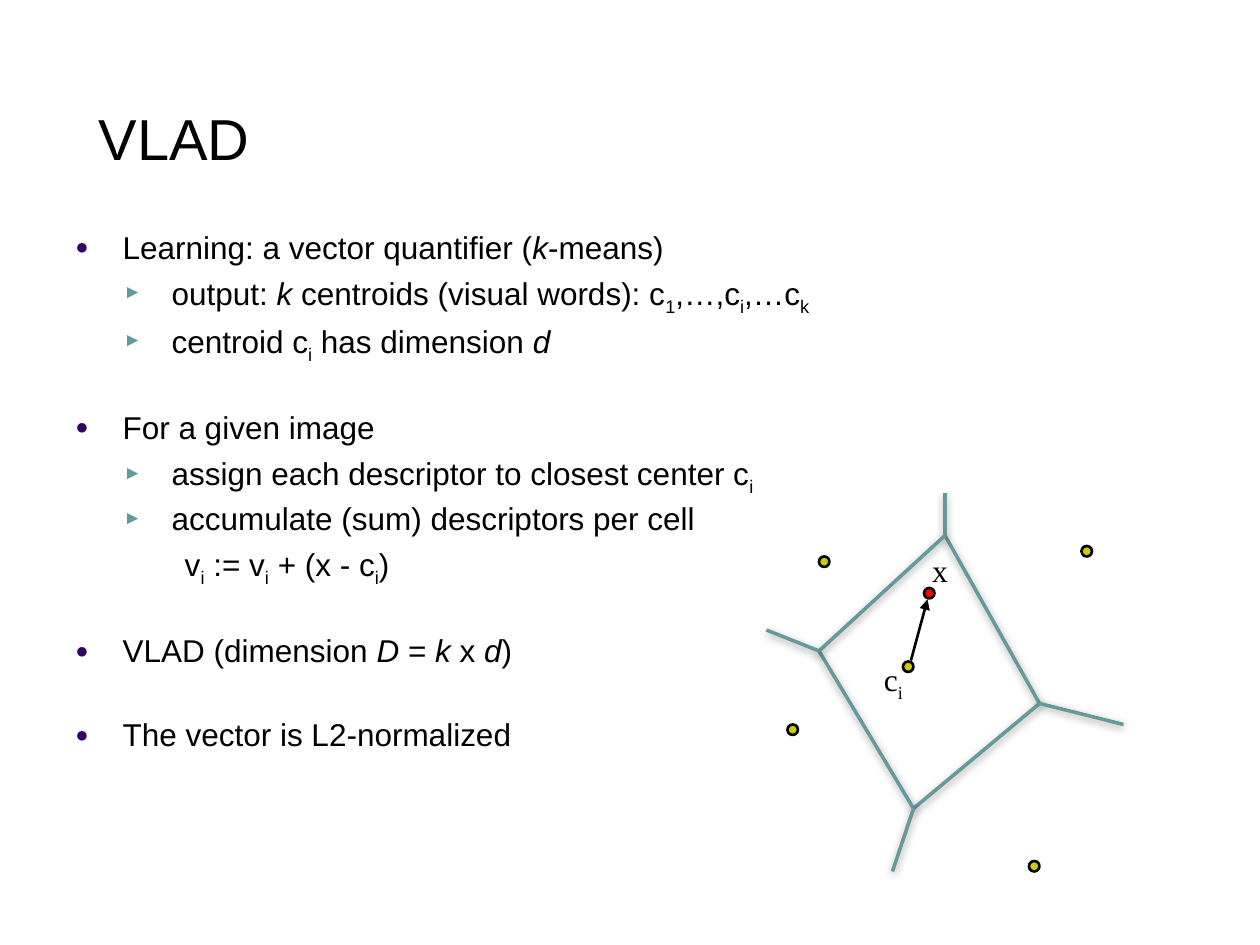
from lxml import etree
from pptx import Presentation
from pptx.dml.color import RGBColor
from pptx.enum.shapes import MSO_CONNECTOR, MSO_SHAPE
from pptx.enum.text import MSO_ANCHOR, MSO_AUTO_SIZE
from pptx.oxml.ns import qn
from pptx.util import Pt

STRAIGHT = MSO_CONNECTOR.STRAIGHT
OVAL = MSO_SHAPE.OVAL
MIDDLE, TOP = MSO_ANCHOR.MIDDLE, MSO_ANCHOR.TOP
FIT_SHAPE, NO_FIT = MSO_AUTO_SIZE.SHAPE_TO_FIT_TEXT, MSO_AUTO_SIZE.NONE

COLORS = {"text": "000000", "bullet": "330066", "cell": "669999",
          "centroid": "CCCC00", "descriptor": "FF0000"}

# Left margin, first-line indent, bullet character, its colour and percent size
LEVELS = {
    "main": (27, -27, "●", "bullet", 70),
    "sub": (55, -27.5, "►", "cell", 60),
    "formula": (62.5, 0, None, None, None),
}
TIGHT, WIDE = 4.5, 28.2  # space before: within a group, before a new group

# Level, space before, runs; a run is plain text or (text, style)
BODY = [
    ("main", 0, ["Learning: a vector quantifier (", ("k", "i"), "-means)"]),
    ("sub", TIGHT, ["output: ", ("k ", "i"), "centroids (visual words): c",
                    ("1", "sub"), ",…,c", ("i", "sub"), ",…c", ("k", "sub")]),
    ("sub", TIGHT, ["centroid c", ("i", "sub"), " has dimension ", ("d", "i")]),
    ("main", WIDE, ["For a given image"]),
    ("sub", TIGHT, ["assign each descriptor to closest center c", ("i", "sub")]),
    ("sub", TIGHT, ["accumulate (sum) descriptors per cell"]),
    ("formula", TIGHT, ["v", ("i", "sub"), " := v", ("i", "sub"),
                        " + (x - c", ("i", "sub"), ")"]),
    ("main", WIDE, ["VLAD (dimension ", ("D", "i"), " = ", ("k", "i"), " x ",
                    ("d", "i"), ")"]),
    ("main", WIDE, ["The vector is L2-normalized"]),
]

# Corners of the Voronoi cell, each with the far end of its outgoing edge
CELL = [((540, 306), (540, 282)), ((594, 402), (642, 414)),
        ((522, 462), (510, 498)), ((468, 372), (438, 360))]
CENTROIDS = [(516, 378), (450, 414), (468, 318), (588, 492), (618, 312)]
DESCRIPTOR = (528, 336)
DOT = 6


def rgb(name):
    return RGBColor.from_string(COLORS[name])


def add_child(parent, tag, **attrs):
    return etree.SubElement(parent, qn(tag), {k: str(v) for k, v in attrs.items()})


def add_box(slide, left, top, width, height, **frame):
    tf = slide.shapes.add_textbox(Pt(left), Pt(top), Pt(width), Pt(height)).text_frame
    settings = {"word_wrap": True, "auto_size": NO_FIT, "vertical_anchor": TOP,
                "margin_left": Pt(7.2), "margin_right": Pt(7.2),
                "margin_top": Pt(5), "margin_bottom": Pt(3.6)}
    for name, value in {**settings, **frame}.items():
        setattr(tf, name, value)
    return tf


def add_runs(p, runs, font="Arial", size=18):
    for run in runs:
        text, style = (run, None) if isinstance(run, str) else run
        r = p.add_run()
        r.text = text
        for name, value in {"name": font, "size": Pt(size), "italic": style == "i"}.items():
            setattr(r.font, name, value)
        r.font.color.rgb = rgb("text")
        if style == "sub":
            r.font._element.set("baseline", "-25000")


def set_level(p, level):
    """Set the indents and the bullet of a paragraph."""
    margin, indent, char, color, percent = LEVELS[level]
    pPr = p._p.get_or_add_pPr()
    pPr.set("marL", str(Pt(margin)))
    pPr.set("indent", str(Pt(indent)))
    if not char:
        add_child(pPr, "a:buNone")
        return
    add_child(add_child(pPr, "a:buClr"), "a:srgbClr", val=COLORS[color])
    add_child(pPr, "a:buSzPct", val=percent * 1000)
    add_child(pPr, "a:buFont", typeface="Arial")
    add_child(pPr, "a:buChar", char=char)


def add_body(slide):
    tf = add_box(slide, 36, 127, 648, 380)
    for i, (level, space, runs) in enumerate(BODY):
        p = tf.add_paragraph() if i else tf.paragraphs[0]
        set_level(p, level)
        p.level = int(level == "sub")
        p.line_spacing = 0.93
        p.space_before = Pt(space)
        add_runs(p, runs)


def add_title(slide, text):
    p = add_box(slide, 49.5, 29, 621, 104, vertical_anchor=MIDDLE,
                margin_top=Pt(3.6)).paragraphs[0]
    p.line_spacing = 0.9
    add_runs(p, [text], size=33)


def add_label(slide, left, top, width, runs):
    p = add_box(slide, left, top, width, 29, word_wrap=False,
                auto_size=FIT_SHAPE).paragraphs[0]
    p.line_spacing = 0.93
    add_runs(p, runs, font="Times New Roman")


def add_line(slide, start, end, color, width):
    """Draw a straight line and return it with its empty effect list."""
    line = slide.shapes.add_connector(STRAIGHT, *map(Pt, start + end))
    line.line.color.rgb = rgb(color)
    line.line.width = Pt(width)
    return line, add_child(line._element.spPr, "a:effectLst")


def add_edge(slide, start, end):
    effects = add_line(slide, start, end, "cell", 2)[1]
    shadow = add_child(effects, "a:outerShdw", blurRad=Pt(5), dist=Pt(1.6),
                       dir=90 * 60000, rotWithShape=0)
    add_child(add_child(shadow, "a:srgbClr", val="000000"), "a:alpha", val=38000)


def add_arrow(slide, start, end):
    line = add_line(slide, start, end, "text", 1.5)[0]
    add_child(line.line._get_or_add_ln(), "a:tailEnd", type="triangle")


def add_dot(slide, place, color):
    sp = slide.shapes.add_shape(OVAL, *map(Pt, place + (DOT, DOT)))
    sp.shadow.inherit = False
    sp.fill.solid()
    sp.fill.fore_color.rgb = rgb(color)
    sp.line.color.rgb = rgb("text")
    sp.line.width = Pt(1.5)


def add_voronoi(slide):
    for i, (corner, outer) in enumerate(CELL):
        add_edge(slide, corner, CELL[(i + 1) % len(CELL)][0])
        add_edge(slide, outer, corner)
    for place in CENTROIDS:
        add_dot(slide, place, "centroid")
    add_label(slide, 498, 372, 26, ["c", ("i", "sub")])
    add_label(slide, 525.5, 312, 23, ["x"])
    add_dot(slide, DESCRIPTOR, "descriptor")
    add_arrow(slide, (520.5, 377.5), (530, 342.5))


def main():
    prs = Presentation()
    prs.slide_width, prs.slide_height = Pt(720), Pt(540)
    slide = prs.slides.add_slide(prs.slide_layouts[6])
    add_body(slide)
    add_voronoi(slide)
    add_title(slide, "VLAD")
    prs.save("out.pptx")


if __name__ == "__main__":
    main()
